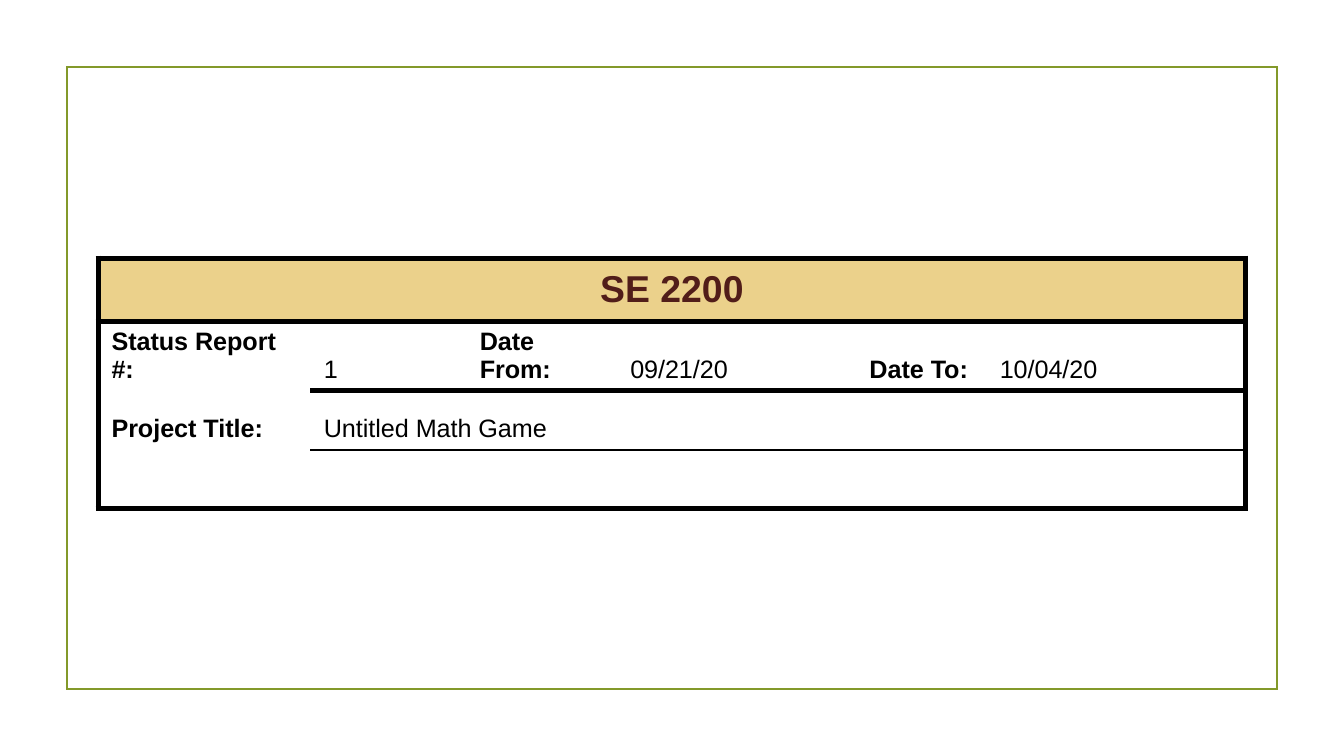
from typing import NamedTuple, Optional

import pptx
import pptx.dml.color
import pptx.enum.shapes
import pptx.enum.text
import pptx.oxml.ns
import pptx.util
from lxml import etree

WIDTH = 10
HEIGHT = WIDTH * 9 / 16
MARGIN = 0.5
TABLE_LEFT, TABLE_TOP = 0.73, 1.92
COLUMNS = [1.58, 1.16, 1.12, 1.78, 0.97, 1.93]
ROWS = [0.47, 0.51, 0.44, 0.44]
BLACK, GREEN, GOLD, MAROON = "000000", "83992A", "EBD18B", "511D19"
THICK, THIN = 3, 1


class Field(NamedTuple):
    row: int
    col: int
    text: str
    span: int = 1
    bold: bool = False
    size: float = 13.5
    color: str = BLACK
    fill: Optional[str] = None
    centered: bool = False


FIELDS = [
    Field(0, 0, "SE 2200", 6, True, 20, MAROON, GOLD, True),
    Field(1, 0, "Status Report #:", bold=True),
    Field(1, 1, "1"),
    Field(1, 2, "Date From:", bold=True),
    Field(1, 3, "09/21/20"),
    Field(1, 4, "Date To:", bold=True),
    Field(1, 5, "10/04/20"),
    Field(2, 0, "Project Title:", bold=True),
    Field(2, 1, "Untitled Math Game", 5),
    Field(3, 0, ""),
    Field(3, 1, "", 5),
]


def rgb(color: str) -> pptx.dml.color.RGBColor:
    return pptx.dml.color.RGBColor.from_string(color)


def row_rule(edge: int, col: int) -> float:
    if edge in (0, 1, len(ROWS)):
        return THICK
    if col == 0:
        return 0
    return THICK if edge == 2 else THIN


def column_rule(edge: int) -> float:
    return THICK if edge in (0, len(COLUMNS)) else 0


def draw_border(cell, side: str, width: float) -> None:
    qn = pptx.oxml.ns.qn
    tc_pr = cell._tc.get_or_add_tcPr()
    ln = etree.SubElement(tc_pr, qn(f"a:ln{side}"), w=str(pptx.util.Pt(width)))
    if width:
        fill = etree.SubElement(ln, qn("a:solidFill"))
        etree.SubElement(fill, qn("a:srgbClr"), val=BLACK)
    else:
        etree.SubElement(ln, qn("a:noFill"))


def draw_borders(table, field: Field) -> None:
    end = field.col + field.span
    for col in range(field.col, end):
        cell = table.cell(field.row, col)
        draw_border(cell, "L", column_rule(field.col))
        draw_border(cell, "R", column_rule(end))
        draw_border(cell, "T", row_rule(field.row, col))
        draw_border(cell, "B", row_rule(field.row + 1, col))
        cell.fill.background()


def draw_field(table, field: Field) -> None:
    draw_borders(table, field)
    cell = table.cell(field.row, field.col)
    if field.span > 1:
        cell.merge(table.cell(field.row, field.col + field.span - 1))
    if field.fill:
        cell.fill.solid()
        cell.fill.fore_color.rgb = rgb(field.fill)
    anchor = pptx.enum.text.MSO_ANCHOR
    cell.vertical_anchor = anchor.MIDDLE if field.centered else anchor.BOTTOM
    p = cell.text_frame.paragraphs[0]
    p.text = field.text
    p.font.name = "Arial"
    p.font.size = pptx.util.Pt(field.size)
    p.font.bold = field.bold
    p.font.color.rgb = rgb(field.color)
    align = pptx.enum.text.PP_ALIGN
    p.alignment = align.CENTER if field.centered else align.LEFT


def draw_frame(s) -> None:
    inches = pptx.util.Inches
    sp = s.shapes.add_shape(
        pptx.enum.shapes.MSO_SHAPE.RECTANGLE, inches(MARGIN), inches(MARGIN),
        inches(WIDTH - 2 * MARGIN), inches(HEIGHT - 2 * MARGIN))
    sp.shadow.inherit = False
    sp.fill.background()
    sp.line.color.rgb = rgb(GREEN)
    sp.line.width = pptx.util.Pt(1.25)
    ln = sp._element.spPr.find(pptx.oxml.ns.qn("a:ln"))
    etree.SubElement(ln, pptx.oxml.ns.qn("a:miter"), lim="800000")


def draw_report(s) -> None:
    inches = pptx.util.Inches
    table = s.shapes.add_table(
        len(ROWS), len(COLUMNS), inches(TABLE_LEFT), inches(TABLE_TOP),
        inches(sum(COLUMNS)), inches(sum(ROWS))).table
    table.first_row = table.horz_banding = False
    for column, width in zip(table.columns, COLUMNS):
        column.width = inches(width)
    for row, height in zip(table.rows, ROWS):
        row.height = inches(height)
    for field in FIELDS:
        draw_field(table, field)


def main() -> None:
    prs = pptx.Presentation()
    prs.slide_width = pptx.util.Inches(WIDTH)
    prs.slide_height = pptx.util.Inches(HEIGHT)
    s = prs.slides.add_slide(prs.slide_layouts[6])
    draw_frame(s)
    draw_report(s)
    prs.save("out.pptx")


if __name__ == "__main__":
    main()
